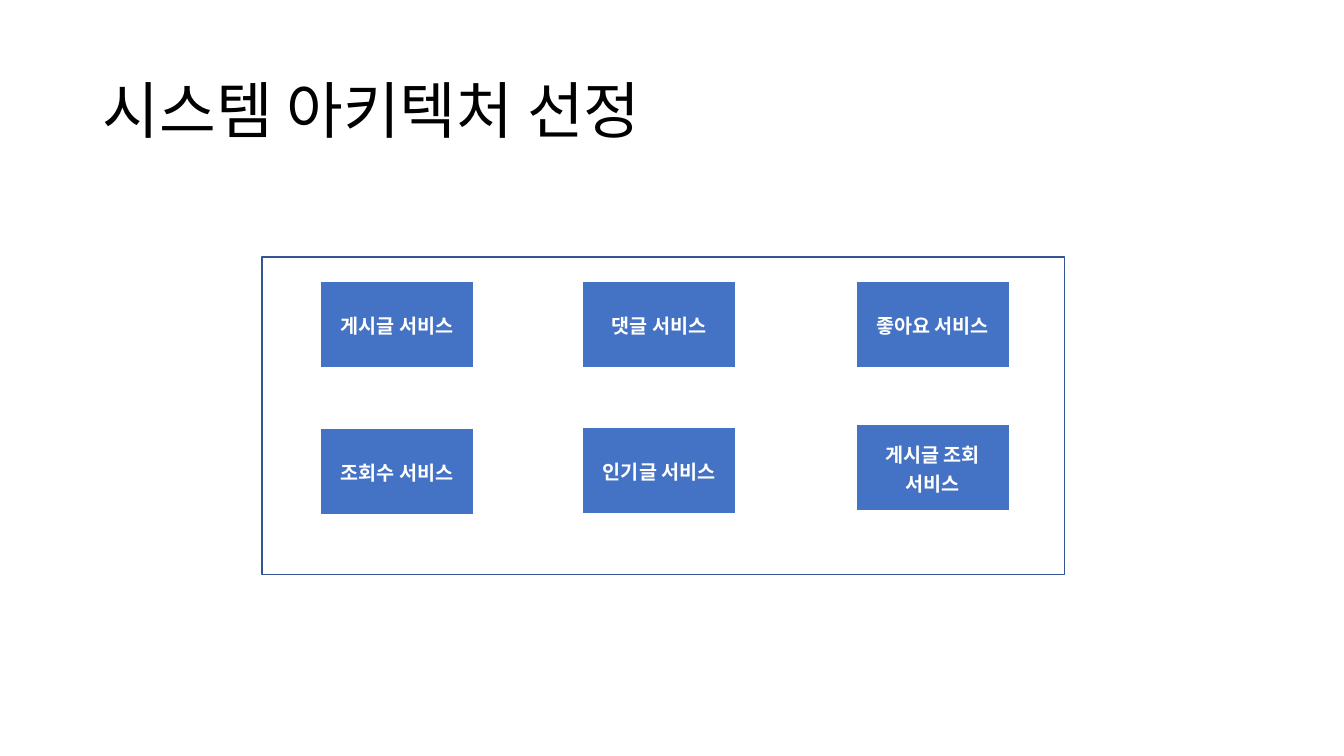
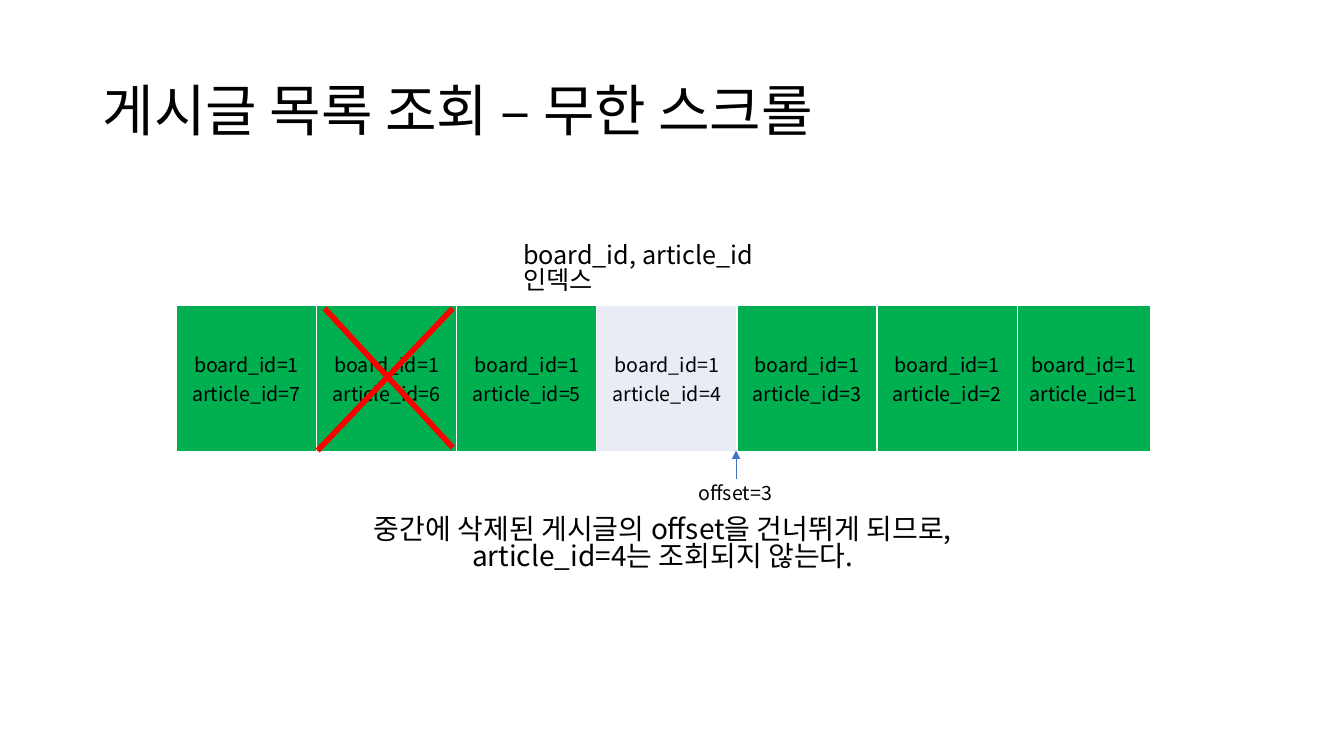
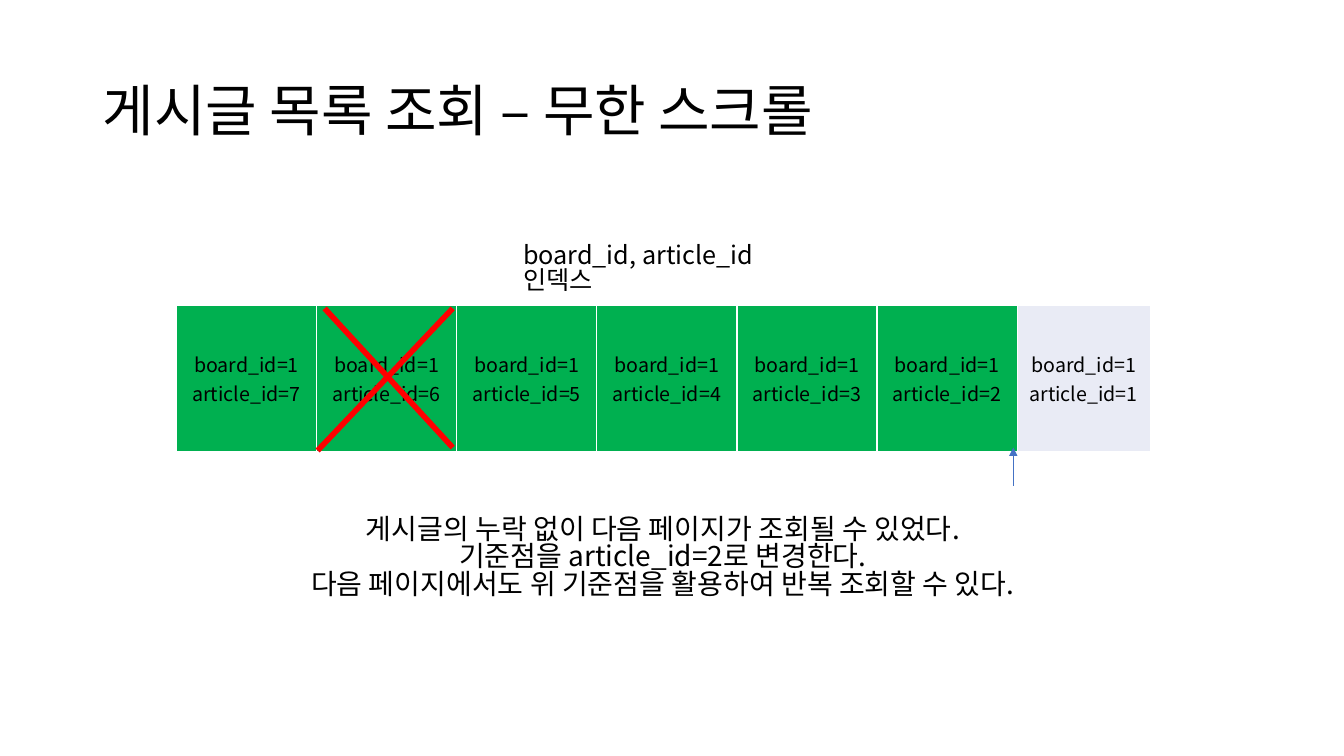
from dataclasses import dataclass

from lxml import etree
from pptx import Presentation
from pptx import util as u
from pptx.dml.color import RGBColor
from pptx.enum import shapes, text
from pptx.oxml.ns import qn

PX = 9144  # one px is a hundredth of an inch


@dataclass(frozen=True)
class Theme:
    font: str = "Noto Sans CJK KR"
    black: str = "000000"
    white: str = "FFFFFF"
    blue: str = "4472C4"
    frame: str = "325491"
    green: str = "00B050"
    pale: str = "E9EBF5"
    red: str = "FF0000"
    title: int = 44
    long_title: int = 40
    message: int = 20
    label: int = 18
    small: int = 14


theme = Theme()
LEFT, CENTER = text.PP_ALIGN.LEFT, text.PP_ALIGN.CENTER


def write_lines(frame, lines, size, color=theme.black, bold=False, align=CENTER, spacing=None):
    frame.text = "\n".join(lines)
    frame.word_wrap = True
    for paragraph in frame.paragraphs:
        paragraph.alignment = align
        paragraph.line_spacing = spacing
        for run in paragraph.runs:
            run.font.size = u.Pt(size)
            run.font.bold = bold
            run.font.name = theme.font
            run.font.color.rgb = RGBColor.from_string(color)
            east_asian = etree.SubElement(run.font._element, qn("a:ea"))
            east_asian.set("typeface", theme.font)


def add_cells(slide, left, top, widths, height, cells, color, bold=False, bottom=1):
    """Add a one-row table; cells holds (lines, fill) pairs."""
    shape = slide.shapes.add_table(1, len(cells), left * PX, top * PX, sum(widths) * PX, height * PX)
    table = shape.table
    table.first_row = table.horz_banding = False
    for index, (lines, fill) in enumerate(cells):
        table.columns[index].width = widths[index] * PX
        cell = table.cell(0, index)
        cell.vertical_anchor = text.MSO_ANCHOR.MIDDLE
        write_lines(cell.text_frame, lines, theme.small, color, bold)
        properties = cell._tc.get_or_add_tcPr()
        for side, points in (("L", 1), ("R", 1), ("T", 1), ("B", bottom)):
            border = etree.SubElement(properties, qn(f"a:ln{side}"), w=str(u.Pt(points)))
            solid = etree.SubElement(border, qn("a:solidFill"))
            etree.SubElement(solid, qn("a:srgbClr"), val=theme.white)
        cell.fill.solid()
        cell.fill.fore_color.rgb = RGBColor.from_string(fill)


presentation = Presentation()
presentation.slide_width, presentation.slide_height = 1333 * PX, 750 * PX
blank = presentation.slide_layouts[6]
architecture, offset_paging, cursor_paging = [presentation.slides.add_slide(blank) for _ in range(3)]

# Titles
scroll_title = "게시글 목록 조회 – 무한 스크롤"
for slide, title, size in (
    (architecture, "시스템 아키텍처 선정", theme.title),
    (offset_paging, scroll_title, theme.long_title),
    (cursor_paging, scroll_title, theme.long_title),
):
    frame = slide.shapes.add_textbox(92 * PX, 40 * PX, 1150 * PX, 145 * PX).text_frame
    frame.vertical_anchor = text.MSO_ANCHOR.MIDDLE
    write_lines(frame, [title], size, align=LEFT, spacing=0.9)

# Architecture: services inside one frame
system = architecture.shapes.add_shape(
    shapes.MSO_SHAPE.RECTANGLE, 260 * PX, 255 * PX, 796 * PX, 315 * PX)
system.shadow.inherit = False
system.fill.background()
system.line.color.rgb = RGBColor.from_string(theme.frame)
system.line.width = u.Pt(1)

service_columns = (
    (318, (279, ["게시글 서비스"]), (425, ["조회수 서비스"])),
    (578, (279, ["댓글 서비스"]), (424, ["인기글 서비스"])),
    (849, (279, ["좋아요 서비스"]), (421, ["게시글 조회", "서비스"])),
)
for left, *services in service_columns:
    for top, name in services:
        add_cells(architecture, left, top, [152], 87, [(name, theme.blue)],
                  theme.white, bold=True, bottom=3)

# Paging slides: index row, deleted article, page position and message
paging_slides = (
    (offset_paging, 4, (730, 475, 730, 447), 77,
     ["중간에 삭제된 게시글의 offset을 건너뛰게 되므로,",
      "article_id=4는 조회되지 않는다."]),
    (cursor_paging, 1, (1005, 482, 1005, 444), 111,
     ["게시글의 누락 없이 다음 페이지가 조회될 수 있었다.",
      "기준점을 article_id=2로 변경한다.",
      "다음 페이지에서도 위 기준점을 활용하여 반복 조회할 수 있다."]),
)
text_boxes = []
for slide, unread, pointer, message_height, message in paging_slides:
    text_boxes.append((slide, 509, 238, 310, 70, ["board_id, article_id 인덱스"], theme.label, LEFT))
    text_boxes.append((slide, -9, 508, 1333, message_height, message, theme.message, CENTER))

    articles = [(["board_id=1", f"article_id={number}"],
                 theme.pale if number == unread else theme.green)
                for number in range(7, 0, -1)]
    add_cells(slide, 175, 303, [139] * 6 + [132], 145, articles, theme.black)

    for ends, color, width in (
        ((449, 306, 315, 447), theme.red, 4),
        ((322, 306, 449, 444), theme.red, 4),
        (pointer, theme.blue, 0.5),
    ):
        line = slide.shapes.add_connector(
            shapes.MSO_CONNECTOR.STRAIGHT, *[end * PX for end in ends])
        line.line.color.rgb = RGBColor.from_string(color)
        line.line.width = u.Pt(width)
        if ends == pointer:
            etree.SubElement(line.line._get_or_add_ln(), qn("a:tailEnd"), type="triangle")
        etree.SubElement(line._element.spPr, qn("a:effectLst"))

text_boxes.append((offset_paging, 683, 476, 100, 34, ["offset=3"], theme.small, LEFT))

# Text boxes of the paging slides
for slide, left, top, width, height, lines, size, align in text_boxes:
    box = slide.shapes.add_textbox(left * PX, top * PX, width * PX, height * PX)
    write_lines(box.text_frame, lines, size, align=align, spacing=0.82)

presentation.save("out.pptx")
